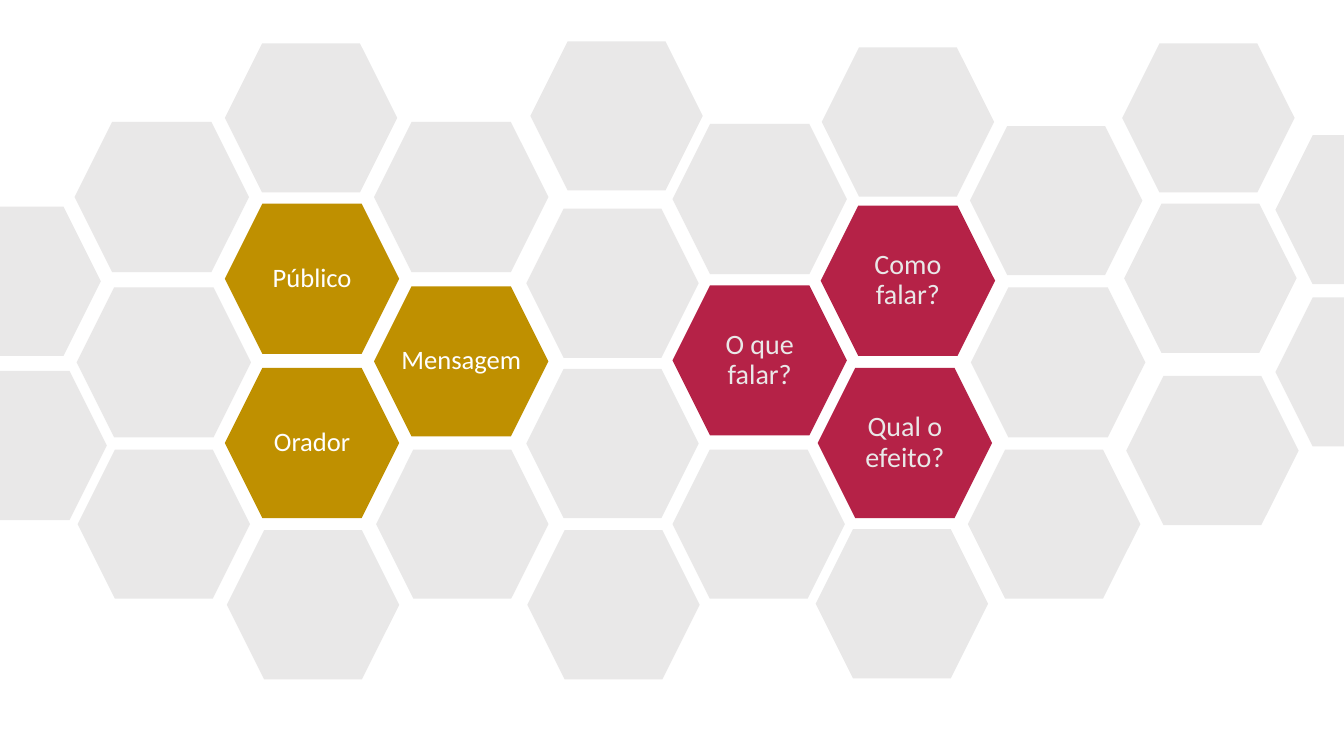
from dataclasses import dataclass

from lxml import etree
from pptx import Presentation
from pptx.dml.color import RGBColor
from pptx.enum import shapes, text
from pptx.oxml import ns
from pptx.util import Inches, Pt


@dataclass(frozen=True)
class Theme:
    font: str = "Calibri"
    gold: str = "BF9000"
    crimson: str = "B52247"
    pale: str = "E9E8E8"
    veil: str = "E7E6E6"
    white: str = "FFFFFF"
    gold_size: int = 19
    crimson_size: int = 20
    veil_opacity: int = 90


THEME = Theme()
CELL = (1.73, 1.49)
BACKGROUND_CELL = (1.71, 1.48)
LABEL = (1.19, 1.03)

BACKGROUND_COLUMNS = [
    [(-0.71, 2.05), (-0.65, 3.68)],
    [(0.77, 4.46)],
    [(2.23, 0.43), (2.25, 5.26)],
    [(3.73, 4.46)],
    [(5.26, 0.41), (5.22, 2.07), (5.22, 3.66), (5.23, 5.26)],
    [(6.67, 4.46)],
    [(8.15, 0.47), (8.09, 5.25)],
    [(9.62, 1.25), (9.6, 4.46)],
    [(11.13, 0.43), (11.15, 2.02), (11.17, 3.73)],
    [(12.65, 1.34), (12.65, 2.95)],
]


def add_hexagon(container, left, top, size, color, opacity=100):
    hexagon = container.add_shape(
        shapes.MSO_SHAPE.HEXAGON, *map(Inches, (left, top, *size))
    )
    hexagon.shadow.inherit = False
    hexagon.fill.solid()
    hexagon.fill.fore_color.rgb = RGBColor.from_string(color)
    hexagon.line.fill.background()
    if opacity < 100:
        color_element = next(hexagon.element.spPr.iter(ns.qn("a:srgbClr")))
        alpha = etree.SubElement(color_element, ns.qn("a:alpha"))
        alpha.set("val", str(opacity * 1000))


def add_label(container, left, top, wording, color, size):
    width, height = LABEL
    label_left = left + (CELL[0] - width) / 2
    label_top = top + (CELL[1] - height) / 2
    box = container.add_textbox(
        *map(Inches, (label_left, label_top, width, height))
    )
    frame = box.text_frame
    frame.word_wrap = True
    frame.vertical_anchor = text.MSO_ANCHOR.MIDDLE
    frame.margin_left = frame.margin_right = 0
    frame.margin_top = frame.margin_bottom = Inches(0.03)
    paragraph = frame.paragraphs[0]
    paragraph.alignment = text.PP_ALIGN.CENTER
    paragraph.line_spacing = 0.9
    run = paragraph.add_run()
    run.text = wording
    run.font.name = THEME.font
    run.font.size = Pt(size)
    run.font.color.rgb = RGBColor.from_string(color)


def add_cluster(slide, left, top, cells, fill, text_color, text_size):
    cluster = slide.shapes.add_group_shape().shapes
    for across, down, wording in cells:
        cell_left, cell_top = left + across, top + down
        if wording:
            add_hexagon(cluster, cell_left, cell_top, CELL, fill)
            add_label(cluster, cell_left, cell_top, wording, text_color, text_size)
        else:
            add_hexagon(
                cluster, cell_left, cell_top, CELL, THEME.veil, THEME.veil_opacity
            )


def add_honeycomb(slide, left, top):
    for column in BACKGROUND_COLUMNS:
        for across, down in column:
            add_hexagon(
                slide.shapes, left + across, top + down, BACKGROUND_CELL, THEME.pale
            )


def main():
    presentation = Presentation()
    presentation.slide_width = Inches(13.33)
    presentation.slide_height = Inches(7.5)
    slide = presentation.slides.add_slide(presentation.slide_layouts[6])
    speaking_parts = [
        (1.49, 2.44, "Orador"),
        (0.02, 1.64, ""),
        (2.97, 1.63, "Mensagem"),
        (0, 0, ""),
        (1.49, 0.81, "Público"),
        (2.97, 0, ""),
    ]
    speaking_questions = [
        (1.44, 2.42, "Qual o efeito?"),
        (0, 0, ""),
        (1.47, 0.81, "Como falar?"),
        (2.96, 1.62, ""),
        (0, 1.6, "O que falar?"),
    ]
    add_cluster(
        slide, 0.74, 1.21, speaking_parts, THEME.gold, THEME.white, THEME.gold_size
    )
    add_cluster(
        slide, 6.67, 1.23, speaking_questions,
        THEME.crimson, THEME.pale, THEME.crimson_size,
    )
    add_honeycomb(slide, 0, 0)
    presentation.save("out.pptx")


if __name__ == "__main__":
    main()
